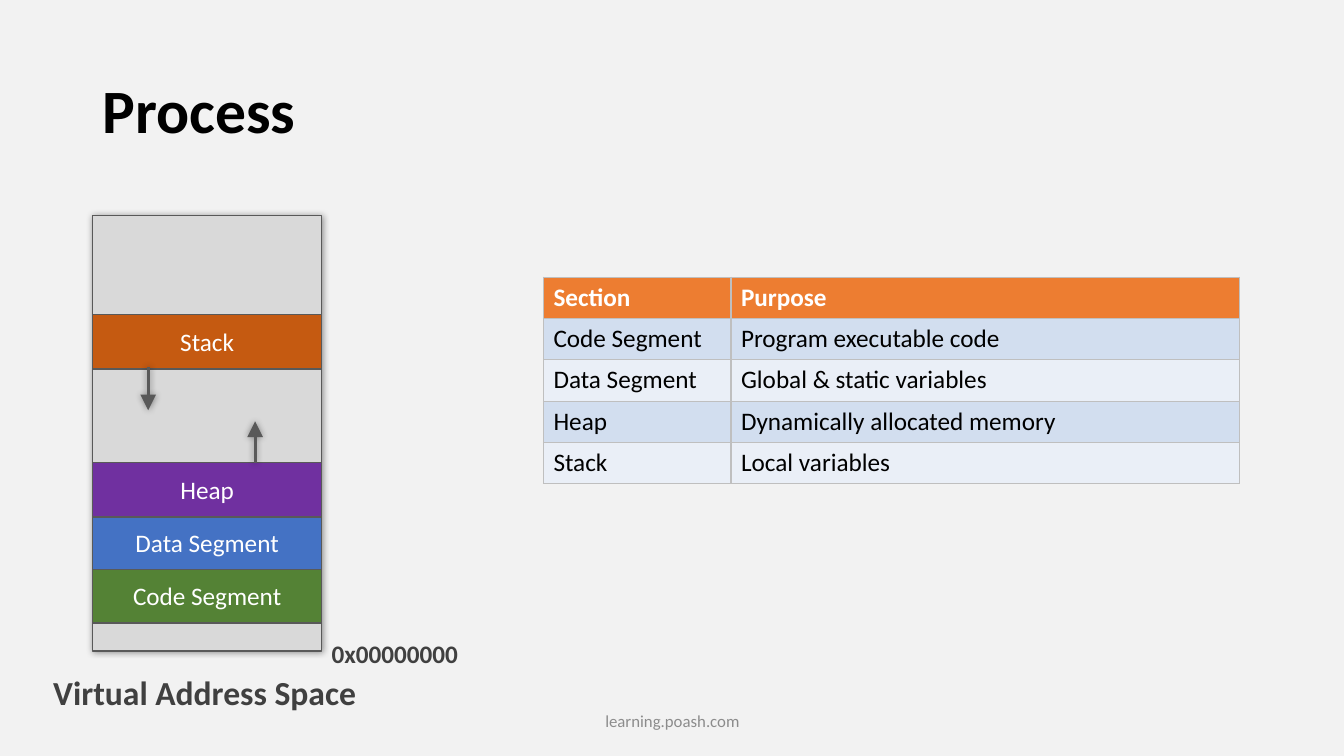
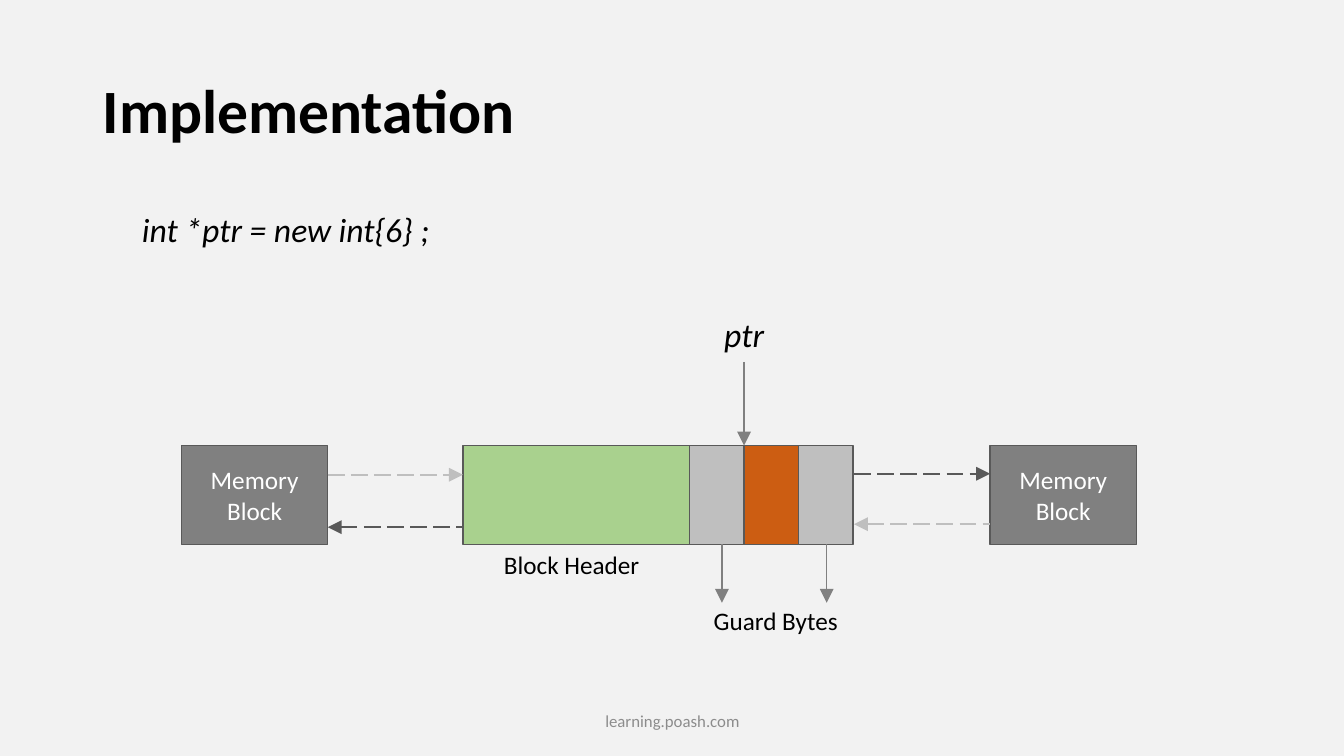
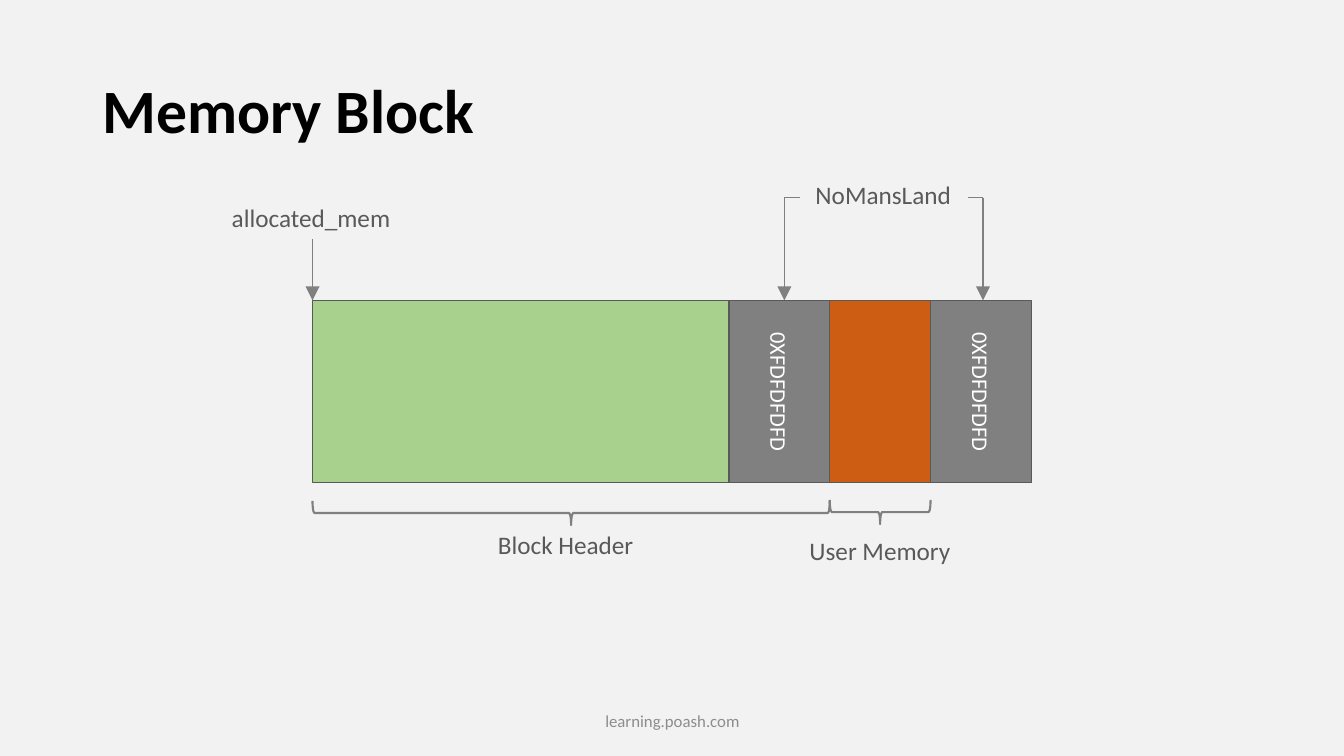
from lxml import etree
from pptx import Presentation
from pptx.dml.color import RGBColor
from pptx.enum.dml import MSO_LINE
from pptx.enum.shapes import MSO_CONNECTOR, MSO_SHAPE
from pptx.enum.text import MSO_ANCHOR, MSO_AUTO_SIZE, PP_ALIGN
from pptx.oxml.ns import qn
from pptx.util import Inches, Pt

LEFT, CENTER = PP_ALIGN.LEFT, PP_ALIGN.CENTER
TOP, MIDDLE = MSO_ANCHOR.TOP, MSO_ANCHOR.MIDDLE
FIT_TEXT = MSO_AUTO_SIZE.SHAPE_TO_FIT_TEXT
RECT, BRACE = MSO_SHAPE.RECTANGLE, MSO_SHAPE.LEFT_BRACE
STRAIGHT, LONG_DASH = MSO_CONNECTOR.STRAIGHT, MSO_LINE.LONG_DASH

FONT = "Calibri"
BACKGROUND, BLACK, WHITE = "F2F2F2", "000000", "FFFFFF"
DARK, TEXT_DARK, GRAY, SILVER = "595959", "404040", "808080", "BFBFBF"
GREEN, ORANGE = "A9D18E", "CC5D12"


def rgb(value):
    return RGBColor.from_string(value)


def write(tf, text, size=18, color=BLACK, bold=False, italic=False,
          align=LEFT, anchor=TOP, spacing=None):
    tf.vertical_anchor = anchor
    p = tf.paragraphs[0]
    p.alignment = align
    if spacing:
        p.line_spacing = spacing
    r = p.add_run()
    r.text = text
    r.font.name, r.font.size = FONT, Pt(size)
    r.font.bold, r.font.italic = bold, italic
    r.font.color.rgb = rgb(color)


def set_effects(sp, shadow):
    """Replace the theme shadow by a soft one, or by none."""
    effects = etree.SubElement(sp.element.spPr, qn("a:effectLst"))
    if shadow:
        outer = etree.SubElement(effects, qn("a:outerShdw"), blurRad=str(Pt(5)),
                                 dist="0", dir="0", algn="ctr", rotWithShape="0")
        color = etree.SubElement(outer, qn("a:srgbClr"), val=BLACK)
        etree.SubElement(color, qn("a:alpha"), val="40000")


def set_borders(cell, color):
    tc_pr = cell._tc.get_or_add_tcPr()
    for side in ("a:lnL", "a:lnR", "a:lnT", "a:lnB"):
        ln = etree.SubElement(tc_pr, qn(side), w=str(Pt(1)))
        fill = etree.SubElement(ln, qn("a:solidFill"))
        etree.SubElement(fill, qn("a:srgbClr"), val=color)


class Deck:
    def __init__(self):
        self.prs = Presentation()
        self.prs.slide_width, self.prs.slide_height = Inches(13.33), Inches(7.5)
        fill = self.prs.slide_master.background.fill
        fill.solid()
        fill.fore_color.rgb = rgb(BACKGROUND)
        self.slide = None

    def new_slide(self, title):
        self.slide = self.prs.slides.add_slide(self.prs.slide_layouts[6])
        self.text(0.92, 0.4, 11.5, 1.45, title, size=44, bold=True,
                  anchor=MIDDLE, spacing=0.9)
        self.text(4.42, 6.95, 4.5, 0.4, "learning.poash.com", size=12,
                  color="8C8C8C", align=CENTER, anchor=MIDDLE)

    def text(self, x, y, w, h, text, **style):
        sp = self.slide.shapes.add_textbox(Inches(x), Inches(y), Inches(w), Inches(h))
        sp.text_frame.word_wrap = True
        write(sp.text_frame, text, **style)
        return sp

    def label(self, x, y, w, text, h=0.4, **style):
        """One line of text in a box that hugs it."""
        tf = self.text(x, y, w, h, text, **style).text_frame
        tf.word_wrap = False
        tf.auto_size = FIT_TEXT

    def block(self, x, y, w, h, fill, text="", size=18, vertical=False, shadow=False):
        sp = self.slide.shapes.add_shape(RECT, Inches(x), Inches(y), Inches(w), Inches(h))
        sp.fill.solid()
        sp.fill.fore_color.rgb = rgb(fill)
        sp.line.color.rgb, sp.line.width = rgb(DARK), Pt(1)
        set_effects(sp, shadow)
        if text:
            write(sp.text_frame, text, size=size, color=WHITE, align=CENTER, anchor=MIDDLE)
        if vertical:
            sp.element.txBody.bodyPr.set("vert", "vert")

    def row(self, x, y, h, blocks):
        """Blocks side by side, each (width, fill, vertical text)."""
        for w, fill, text in blocks:
            self.block(x, y, w, h, fill, text, size=16, vertical=bool(text))
            x += w

    def line(self, x1, y1, x2, y2, color=GRAY, width=1, dash=None,
             arrow="tailEnd", head_size="lg", shadow=False):
        cn = self.slide.shapes.add_connector(
            STRAIGHT, Inches(x1), Inches(y1), Inches(x2), Inches(y2))
        cn.line.color.rgb, cn.line.width = rgb(color), Pt(width)
        if dash:
            cn.line.dash_style = dash
        if arrow:
            ln = cn.element.spPr.find(qn("a:ln"))
            etree.SubElement(ln, qn("a:" + arrow), type="triangle",
                             w=head_size, len=head_size)
        set_effects(cn, shadow)

    def brace(self, x, y, span, depth=0.24):
        """Brace below a span, pointing down."""
        left, top = x + (span - depth) / 2, y + (depth - span) / 2
        sp = self.slide.shapes.add_shape(
            BRACE, Inches(left), Inches(top), Inches(depth), Inches(span))
        sp.rotation = 270
        sp.adjustments[0], sp.adjustments[1] = 0.08, 0.5
        sp.fill.background()
        sp.line.color.rgb, sp.line.width = rgb(GRAY), Pt(1.5)
        set_effects(sp, False)

    def table(self, x, y, widths, row_height, rows):
        table = self.slide.shapes.add_table(
            len(rows), len(widths), Inches(x), Inches(y),
            Inches(sum(widths)), Inches(row_height * len(rows))).table
        table.first_row = table.horz_banding = False
        for column, w in zip(table.columns, widths):
            column.width = Inches(w)
        for i, row in enumerate(rows):
            table.rows[i].height = Inches(row_height)
            header = i == 0
            fill = "ED7D31" if header else ("EAEFF7", "D2DEEF")[i % 2]
            for j, text in enumerate(row):
                cell = table.cell(i, j)
                set_borders(cell, SILVER)
                cell.fill.solid()
                cell.fill.fore_color.rgb = rgb(fill)
                write(cell.text_frame, text, color=WHITE if header else BLACK, bold=header)


def process_slide(deck):
    deck.new_slide("Process")
    x, w = 0.92, 2.27
    deck.block(x, 2.14, w, 4.32, "D9D9D9", shadow=True)
    for y, fill, name in [(5.64, "548235", "Code Segment"), (5.11, "4472C4", "Data Segment"),
                          (3.12, "C55A11", "Stack"), (4.59, "7030A0", "Heap")]:
        deck.block(x, y, w, 0.54, fill, name)
    deck.table(5.39, 2.75, [1.86, 5.04], 0.41, [
        ("Section", "Purpose"),
        ("Code Segment", "Program executable code"),
        ("Data Segment", "Global & static variables"),
        ("Heap", "Dynamically allocated memory"),
        ("Stack", "Local variables"),
    ])
    deck.label(0.43, 6.62, 3.24, "Virtual Address Space", h=0.5, size=24,
               color=TEXT_DARK, bold=True)
    for arrow_x, start, end in [(2.53, 4.59, 4.18), (1.47, 3.64, 4.07)]:
        deck.line(arrow_x, start, arrow_x, end, DARK, 2.25, shadow=True)
    deck.label(3.19, 6.28, 1.47, "0x00000000", color=TEXT_DARK, bold=True)


def implementation_slide(deck):
    deck.new_slide("Implementation")
    y, h = 4.42, 0.98
    deck.text(1.31, 2.02, 3.89, 0.5, "int *ptr = new int{6} ;", size=24, italic=True)
    deck.row(4.59, y, h, [(2.25, GREEN, ""), (0.54, SILVER, ""),
                          (0.54, ORANGE, ""), (0.54, SILVER, "")])
    for x in (1.8, 9.82):
        deck.block(x, y, 1.45, h, GRAY, "Memory Block")
    for x1, x2, line_y, color, arrow in [
            (3.25, 4.59, 4.71, SILVER, "tailEnd"), (8.47, 9.82, 4.7, DARK, "tailEnd"),
            (8.47, 9.82, 5.2, SILVER, "headEnd"), (3.25, 4.59, 5.23, DARK, "headEnd")]:
        deck.line(x1, line_y, x2, line_y, color, 1.5, LONG_DASH, arrow)
    deck.line(7.38, 3.59, 7.38, y)
    deck.text(6.87, 3.07, 1.02, 0.5, "ptr", size=24, italic=True, align=CENTER)
    deck.label(4.9, 5.4, 1.56, "Block Header")
    deck.text(6.98, 5.96, 1.6, 0.4, "Guard Bytes")
    for x in (7.16, 8.2):
        deck.line(x, y + h, x, 5.98)


def memory_block_slide(deck):
    deck.new_slide("Memory Block")
    x, y = 3.1, 2.98
    guard = (1, GRAY, "0XFDFDFDFD")
    deck.row(x, y, 1.81, [(4.13, GREEN, ""), guard, (1, ORANGE, ""), guard])
    deck.brace(x, 4.97, 5.13)
    deck.brace(x + 5.13, 4.96, 1)
    for label_x, label_y, w, text in [
            (7.93, 5.26, 1.61, "User Memory"), (2.2, 1.96, 1.79, "allocated_mem"),
            (7.99, 1.73, 1.56, "NoMansLand"), (4.84, 5.2, 1.56, "Block Header")]:
        deck.label(label_x, label_y, w, text, color=DARK)
    for arrow_x, top in [(x, 2.37), (7.78, 1.96), (9.75, 1.96)]:
        deck.line(arrow_x, top, arrow_x, y)
    for x1, x2 in [(7.78, 7.93), (9.6, 9.75)]:
        deck.line(x1, 1.96, x2, 1.96, arrow=None)


def main():
    deck = Deck()
    process_slide(deck)
    implementation_slide(deck)
    memory_block_slide(deck)
    deck.prs.save("out.pptx")


if __name__ == "__main__":
    main()
